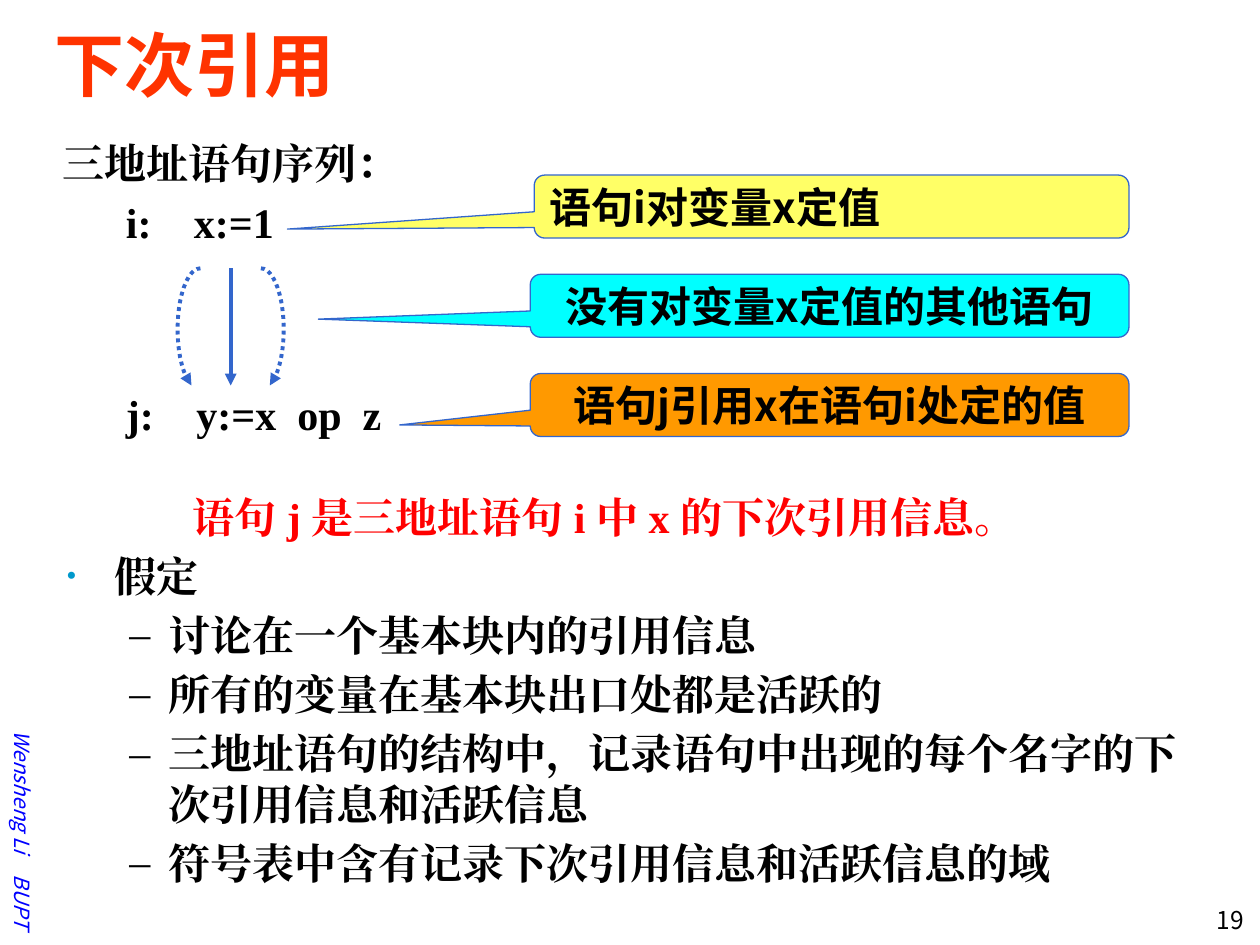
import math

from lxml import etree
from pptx import Presentation
from pptx import util as u
from pptx.dml.color import RGBColor
from pptx.enum import dml, shapes, text
from pptx.oxml import ns

WHITE = RGBColor(0xFF, 0xFF, 0xFF)
BLACK = RGBColor(0, 0, 0)
RED = RGBColor(0xFF, 0, 0)
TITLE_RED = RGBColor(0xFF, 0x33, 0)
AUTHOR_BLUE = RGBColor(0, 0, 0xFF)
LINE_BLUE = RGBColor(0x33, 0x66, 0xCC)
YELLOW = RGBColor(0xFF, 0xFF, 0x66)
CYAN = RGBColor(0, 0xFF, 0xFF)
ORANGE = RGBColor(0xFF, 0x99, 0)

SANS = "Noto Sans CJK SC"
SERIF = "Times New Roman"
HEADING = {"name": SANS, "size": u.Pt(40), "bold": True}
LABEL = {"name": SANS, "size": u.Pt(24), "bold": True}
BODY = {"name": SERIF, "size": u.Pt(24), "bold": True}
AUTHOR = {"name": SANS, "size": u.Pt(12), "italic": True}
NUMBER = {"name": SANS, "size": u.Pt(14)}

LEFT, CENTER, RIGHT = text.PP_ALIGN.LEFT, text.PP_ALIGN.CENTER, text.PP_ALIGN.RIGHT
MIDDLE = text.MSO_ANCHOR.MIDDLE


def add_xml(parent, tag, **attributes):
    return etree.SubElement(parent, ns.qn(tag), attributes)


def apply(target, values):
    for key, value in values.items():
        setattr(target, key, value)


def write(paragraph, words, style, color, align=LEFT):
    paragraph.alignment = align
    run = paragraph.add_run()
    run.text = words
    apply(run.font, style)
    run.font.color.rgb = color
    add_xml(run.font._element, "a:ea", typeface=style["name"])


def indent(paragraph, margin, hanging):
    properties = paragraph._p.get_or_add_pPr()
    properties.set("marL", str(u.Cm(margin)))
    properties.set("indent", str(-u.Cm(hanging)))
    return properties


def add_bullet(properties, mark):
    if mark == "•":
        add_xml(add_xml(properties, "a:buClr"), "a:srgbClr", val="0099CC")
        add_xml(properties, "a:buSzPct", val="70000")
    add_xml(properties, "a:buFont", typeface=SERIF)
    add_xml(properties, "a:buChar", char=mark)


def text_box(slide, box):
    holder = slide.shapes.add_textbox(*map(u.Cm, box))
    holder.text_frame.word_wrap = True
    return holder


def place_title(slide, box):
    title = slide.shapes.title
    apply(title, dict(zip(("left", "top", "width", "height"), map(u.Cm, box))))
    apply(title.text_frame, {"vertical_anchor": MIDDLE, "auto_size": text.MSO_AUTO_SIZE.NONE})
    write(title.text_frame.paragraphs[0], "下次引用", HEADING, TITLE_RED)


def place_author(slide, box):
    author = text_box(slide, box)
    author.rotation = 90
    author.text_frame.vertical_anchor = MIDDLE
    write(author.text_frame.paragraphs[0], "Wensheng Li\u2003BUPT", AUTHOR, AUTHOR_BLUE, RIGHT)


def place_number(slide, box):
    write(text_box(slide, box).text_frame.paragraphs[0], "19", NUMBER, BLACK, RIGHT)


def place_paragraphs(slide, box, rows):
    frame = text_box(slide, box).text_frame
    for index, (words, color, margin, hanging, before, mark) in enumerate(rows):
        paragraph = frame.add_paragraph() if index else frame.paragraphs[0]
        paragraph.space_before = u.Pt(before)
        properties = indent(paragraph, margin, hanging)
        if mark:
            add_bullet(properties, mark)
        write(paragraph, words, BODY, color)


def place_callouts(slide, box, rows, step):
    left, top, width, height = box
    for index, (words, fill, align, inset, tip) in enumerate(rows):
        callout = slide.shapes.add_shape(
            shapes.MSO_SHAPE.ROUNDED_RECTANGULAR_CALLOUT, u.Cm(left + inset),
            u.Cm(top + index * step), u.Cm(width - inset), u.Cm(height))
        callout.shadow.inherit = False
        for place, value in enumerate((*tip, 0.167)):
            callout.adjustments[place] = value
        callout.fill.solid()
        callout.fill.fore_color.rgb = fill
        callout.line.color.rgb = LINE_BLUE
        callout.line.width = u.Pt(0.75)
        apply(callout.text_frame, {"vertical_anchor": MIDDLE, "word_wrap": False})
        write(callout.text_frame.paragraphs[0], words, LABEL, BLACK, align)


def style_arrow(arrow):
    arrow.line.color.rgb = LINE_BLUE
    arrow.line.width = u.Pt(2.25)


def add_arrowhead(arrow):
    add_xml(arrow.line._get_or_add_ln(), "a:tailEnd", type="triangle")


def place_flow(slide, box):
    left, top, width, height = box
    middle = u.Cm(left + width / 2)
    direct = slide.shapes.add_connector(
        shapes.MSO_CONNECTOR.STRAIGHT, middle, u.Cm(top), middle, u.Cm(top + height))
    style_arrow(direct)
    add_arrowhead(direct)
    add_xml(direct._element.spPr, "a:effectLst")

    radius_x, radius_y, sweep, steps = 0.46, 1.23, 157, 20
    for side, center in ((-1, left + radius_x), (1, left + width - radius_x)):
        points = []
        for step in range(steps + 1):
            angle = math.radians(sweep * step / steps)
            points.append((u.Cm(center + side * radius_x * math.sin(angle)),
                           u.Cm(top + radius_y * (1 - math.cos(angle)))))
        builder = slide.shapes.build_freeform(*points[0])
        builder.add_line_segments(points[1:], close=False)
        detour = builder.convert_to_shape()
        detour.shadow.inherit = False
        detour.fill.background()
        style_arrow(detour)
        detour.line.dash_style = dml.MSO_LINE.ROUND_DOT
        add_arrowhead(detour)


STATEMENTS = [
    ("三地址语句序列：", BLACK, 0.96, 0.96, 5, None),
    ("i:\tx:=1", BLACK, 2.64, 1.37, 5, None),
    ("j:\ty:=x\u2002op\u2002z", BLACK, 2.69, 1.42, 81, None),
]
ASSUMPTIONS = [
    ("语句 j 是三地址语句 i 中 x 的下次引用信息。", RED, 2.54, 0, 5, None),
    ("假定", BLACK, 0.96, 0.96, 5, "•"),
] + [(words, BLACK, 2.06, 0.79, 5, "–") for words in (
    "讨论在一个基本块内的引用信息",
    "所有的变量在基本块出口处都是活跃的",
    "三地址语句的结构中，记录语句中出现的每个名字的下次引用信息和活跃信息",
    "符号表中含有记录下次引用信息和活跃信息的域",
)]
CALLOUTS = [
    ("语句i对变量x定值", YELLOW, LEFT, 0.08, (-0.915, 0.358)),
    ("没有对变量x定值的其他语句", CYAN, CENTER, 0, (-0.854, 0.212)),
    ("语句j引用x在语句i处定的值", ORANGE, CENTER, 0, (-0.718, 0.317)),
]

deck = Presentation()
apply(deck, {"slide_width": u.Cm(25.4), "slide_height": u.Cm(19.05)})
page = deck.slides.add_slide(deck.slide_layouts[5])
page.background.fill.solid()
page.background.fill.fore_color.rgb = WHITE
place_author(page, (-2.9, 15.24, 6.71, 0.76))
place_number(page, (23.22, 18.11, 2.11, 0.91))
place_title(page, (0.84, 0.43, 23.93, 1.7))
place_paragraphs(page, (1.02, 2.64, 9.19, 7.14), STATEMENTS)
place_paragraphs(page, (1.09, 9.78, 23.16, 8.64), ASSUMPTIONS)
place_callouts(page, (10.69, 3.53, 12.07, 1.27), CALLOUTS, 2)
place_flow(page, (3.58, 5.41, 2.14, 2.36))
deck.save("out.pptx")
